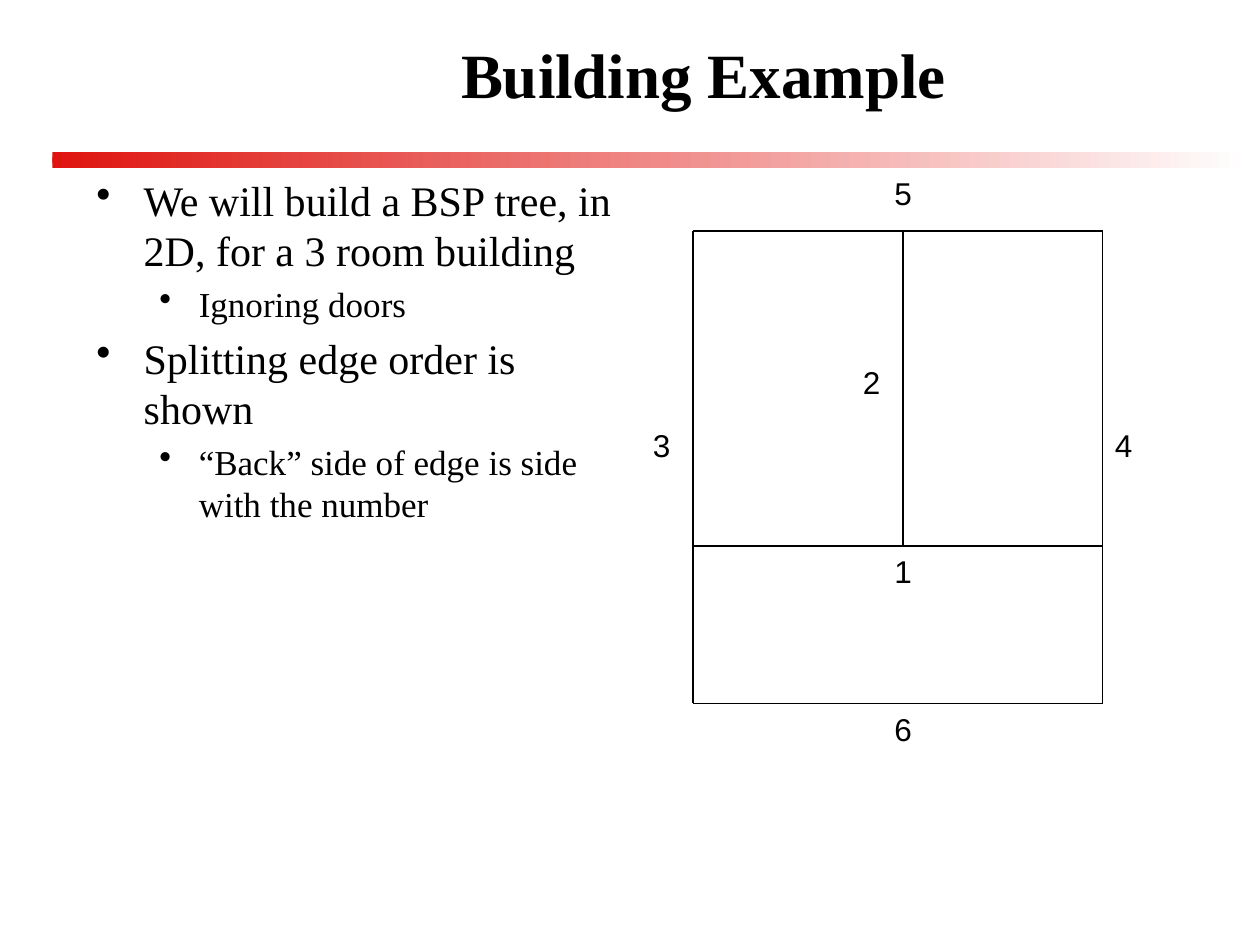
from lxml import etree
from pptx import Presentation
from pptx.dml.color import RGBColor
from pptx.enum.shapes import MSO_CONNECTOR, MSO_SHAPE
from pptx.enum.text import MSO_ANCHOR, MSO_AUTO_SIZE, PP_ALIGN
from pptx.oxml.ns import qn
from pptx.util import Pt

STRAIGHT = MSO_CONNECTOR.STRAIGHT
RECTANGLE = MSO_SHAPE.RECTANGLE
MIDDLE = MSO_ANCHOR.MIDDLE
FIT_SHAPE = MSO_AUTO_SIZE.SHAPE_TO_FIT_TEXT
CENTER = PP_ALIGN.CENTER

BLACK = RGBColor(0x00, 0x00, 0x00)
WHITE = RGBColor(0xFF, 0xFF, 0xFF)
RED = RGBColor(0xDF, 0x14, 0x0F)

# Font size, left margin and hanging indent per outline level
LEVELS = [(24, 27, 27), (20, 58.5, 22.5)]


class SlideBuilder:
    text_font = "Times New Roman"
    label_font = "Arial"

    def __init__(self, slide):
        self.slide = slide

    def format_runs(self, paragraph, font_name, size, bold=False):
        for run in paragraph.runs:
            run.font.name = font_name
            run.font.size = Pt(size)
            run.font.bold = bold
            run.font.color.rgb = BLACK

    def text_box(self, left, top, width, height):
        shape = self.slide.shapes.add_textbox(
            Pt(left), Pt(top), Pt(width), Pt(height))
        shape.text_frame.word_wrap = True
        return shape.text_frame

    def gradient_bar(self, left, top, width, height):
        shape = self.slide.shapes.add_shape(
            RECTANGLE, Pt(left), Pt(top), Pt(width), Pt(height))
        shape.shadow.inherit = False
        shape.line.fill.background()
        shape.fill.gradient()
        shape.fill.gradient_angle = 0
        for stop, color, position in zip(
                shape.fill.gradient_stops, (RED, WHITE), (0, 1)):
            stop.color.rgb = color
            stop.position = position

    def title(self, text, left, top, width, height):
        text_frame = self.text_box(left, top, width, height)
        text_frame.vertical_anchor = MIDDLE
        text_frame.text = text
        paragraph = text_frame.paragraphs[0]
        paragraph.alignment = CENTER
        self.format_runs(paragraph, self.text_font, 36, bold=True)

    def bullets(self, items, left, top, width, height):
        text_frame = self.text_box(left, top, width, height)
        text_frame.text = "\n".join(text for _, text in items)
        for paragraph, (level, _) in zip(text_frame.paragraphs, items):
            size, margin, hanging = LEVELS[level]
            paragraph.level = level
            paragraph.space_before = Pt(size * 0.2)
            self.format_runs(paragraph, self.text_font, size)
            properties = paragraph._p.get_or_add_pPr()
            properties.set("marL", str(Pt(margin)))
            properties.set("indent", str(-Pt(hanging)))
            etree.SubElement(properties, qn("a:buChar")).set("char", "•")

    def wall(self, start_x, start_y, end_x, end_y):
        connector = self.slide.shapes.add_connector(
            STRAIGHT, Pt(start_x), Pt(start_y), Pt(end_x), Pt(end_y))
        connector.line.color.rgb = BLACK
        connector.line.width = Pt(0.75)
        etree.SubElement(connector._element.spPr, qn("a:effectLst"))

    def edge_number(self, text, left, top):
        text_frame = self.text_box(left, top, 27, 36)
        text_frame.word_wrap = False
        text_frame.auto_size = FIT_SHAPE
        text_frame.text = text
        self.format_runs(text_frame.paragraphs[0], self.label_font, 18)


def main():
    presentation = Presentation()
    presentation.slide_width = Pt(720)
    presentation.slide_height = Pt(540)
    builder = SlideBuilder(
        presentation.slides.add_slide(presentation.slide_layouts[6]))

    # Heading with its doubled gradient rule
    for top in (87, 90):
        builder.gradient_bar(30, top, 684, 6)
    builder.title("Building Example", 84, 12, 636, 60)

    # Explanation
    builder.bullets([
        (0, "We will build a BSP tree, in 2D, for a 3 room building"),
        (1, "Ignoring doors"),
        (0, "Splitting edge order is shown"),
        (1, "“Back” side of edge is side with the number"),
    ], 48, 96, 312, 342)

    # Floor plan: outer walls and the two inner walls
    left, divider, right = 396, 516, 630
    top, middle, bottom = 132, 312, 402
    for y in (top, middle, bottom):
        builder.wall(left, y, right, y)
    for x in (left, right):
        builder.wall(x, top, x, bottom)
    builder.wall(divider, top, divider, middle)

    # Splitting order, each number on the back side of its edge
    positions = [(504, middle), (486, 204), (366, 240),
                 (right, 240), (504, 96), (504, bottom)]
    for number, (x, y) in enumerate(positions, start=1):
        builder.edge_number(str(number), x, y)

    presentation.save("out.pptx")


if __name__ == "__main__":
    main()
